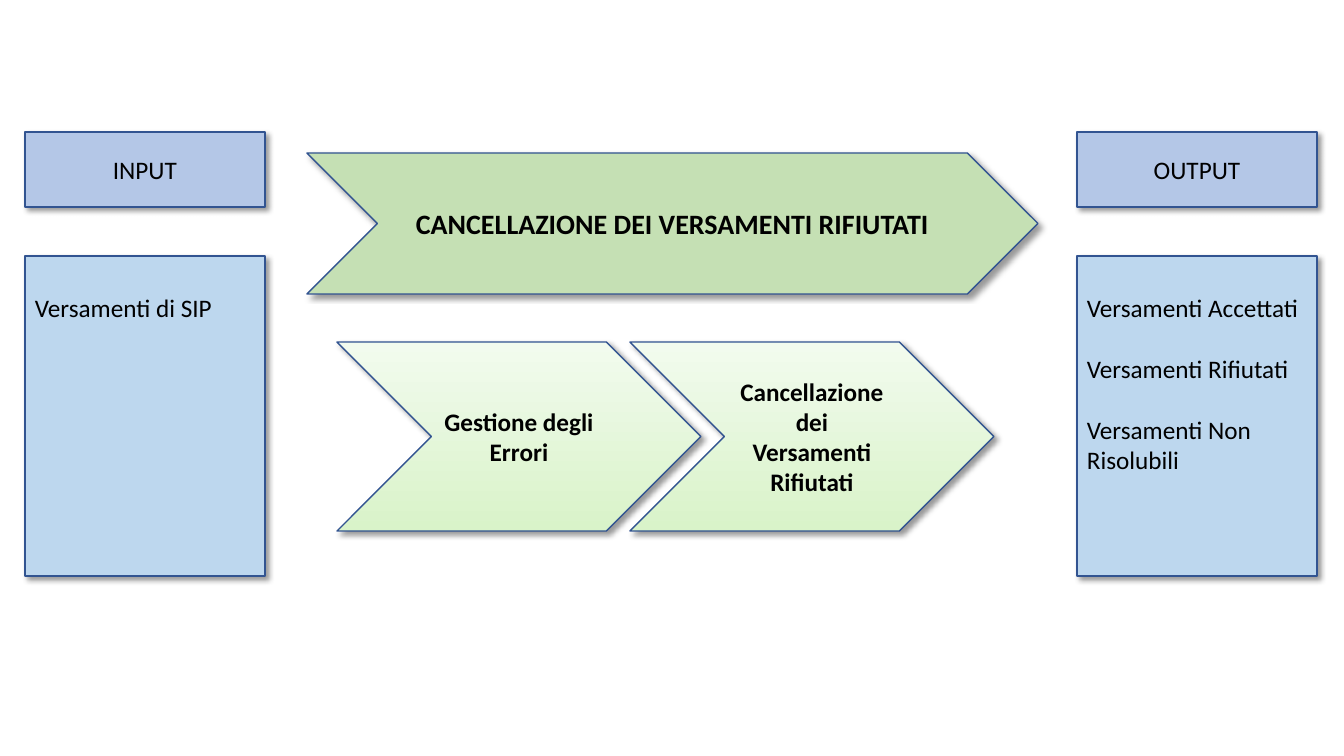
from lxml import etree
from pptx import Presentation
from pptx import util as u
from pptx.dml.color import RGBColor
from pptx.enum import shapes, text
from pptx.oxml import ns

EMU_PER_PIXEL = 914400 / 100.8
FONT = "Calibri"
BLACK = RGBColor(0x00, 0x00, 0x00)
OUTLINE = RGBColor(0x32, 0x54, 0x91)
HEADER_BLUE = RGBColor(0xB4, 0xC7, 0xE7)
LIST_BLUE = RGBColor(0xBD, 0xD7, 0xEE)
PROCESS_GREEN = RGBColor(0xC5, 0xE0, 0xB4)
STEP_GREENS = (RGBColor(0xD9, 0xF3, 0xC9), RGBColor(0xF2, 0xFB, 0xEE))

COLUMN_WIDTH = 240
LINE_HEIGHT = u.Pt(22)


def px(pixels):
    """Turn whole pixels into EMU."""
    return u.Emu(round(pixels * EMU_PER_PIXEL))


def add_shadow(shape):
    """Give the shape a soft shadow towards the lower right."""
    shape.shadow.inherit = False
    effects = shape._element.spPr.find(ns.qn("a:effectLst"))
    shadow = etree.SubElement(effects, ns.qn("a:outerShdw"), blurRad=str(u.Pt(4)),
                              dist=str(u.Pt(3)), dir=str(45 * 60000),
                              algn="tl", rotWithShape="0")
    color = etree.SubElement(shadow, ns.qn("a:srgbClr"), val=str(BLACK))
    etree.SubElement(color, ns.qn("a:alpha"), val="40000")


def paint(shape, colors):
    """Fill with one colour, or with a gradient rising from the bottom."""
    if len(colors) == 1:
        shape.fill.solid()
        shape.fill.fore_color.rgb = colors[0]
        return
    shape.fill.gradient()
    shape.fill.gradient_angle = 90
    for stop, color in zip(shape.fill.gradient_stops, colors):
        stop.color.rgb = color


def write(shape, lines, size=18, bold=False, align=text.PP_ALIGN.CENTER,
          anchor=text.MSO_ANCHOR.MIDDLE, gap=0):
    """Write one paragraph per line, with a gap between paragraphs."""
    frame = shape.text_frame
    frame.word_wrap = True
    frame.vertical_anchor = anchor
    for index, line in enumerate(lines):
        paragraph = frame.add_paragraph() if index else frame.paragraphs[0]
        paragraph.alignment = align
        paragraph.space_before = gap if index else 0
        run = paragraph.add_run()
        run.text = line
        run.font.name = FONT
        run.font.size = u.Pt(size)
        run.font.bold = bold
        run.font.color.rgb = BLACK


def add_block(slide, kind, left, top, width, height, *colors):
    """Add an outlined, shadowed shape."""
    shape = slide.shapes.add_shape(kind, px(left), px(top), px(width), px(height))
    paint(shape, colors)
    shape.line.color.rgb = OUTLINE
    shape.line.width = u.Pt(1)
    add_shadow(shape)
    return shape


def add_column(slide, left, title, items):
    """Add a header box and the list box below it."""
    rectangle = shapes.MSO_SHAPE.RECTANGLE
    header = add_block(slide, rectangle, left, 132, COLUMN_WIDTH, 75, HEADER_BLUE)
    write(header, [title])
    item_box = add_block(slide, rectangle, left, 256, COLUMN_WIDTH, 320, LIST_BLUE)
    item_box.text_frame.margin_top = px(5) + LINE_HEIGHT
    write(item_box, items, align=text.PP_ALIGN.LEFT,
          anchor=text.MSO_ANCHOR.TOP, gap=LINE_HEIGHT)


def add_chevron(slide, left, top, width, height, label, colors, size=18):
    """Add a chevron with a bold label."""
    chevron = add_block(slide, shapes.MSO_SHAPE.CHEVRON, left, top, width, height, *colors)
    write(chevron, [label], size=size, bold=True)


def main():
    """Build the process slide and save it."""
    presentation = Presentation()
    presentation.slide_width = px(1344)
    presentation.slide_height = px(756)
    slide = presentation.slides.add_slide(presentation.slide_layouts[6])

    add_column(slide, 25, "INPUT", ["Versamenti di SIP"])
    add_column(slide, 1077, "OUTPUT", ["Versamenti Accettati", "Versamenti Rifiutati",
                                       "Versamenti Non Risolubili"])
    add_chevron(slide, 307, 153, 731, 141, "CANCELLAZIONE DEI VERSAMENTI RIFIUTATI",
                [PROCESS_GREEN], size=20)
    steps = ["Gestione degli Errori", "Cancellazione dei Versamenti Rifiutati"]
    for index, step in enumerate(steps):
        add_chevron(slide, 337 + 293 * index, 342, 364, 189, step, STEP_GREENS)

    presentation.save("out.pptx")


main()
